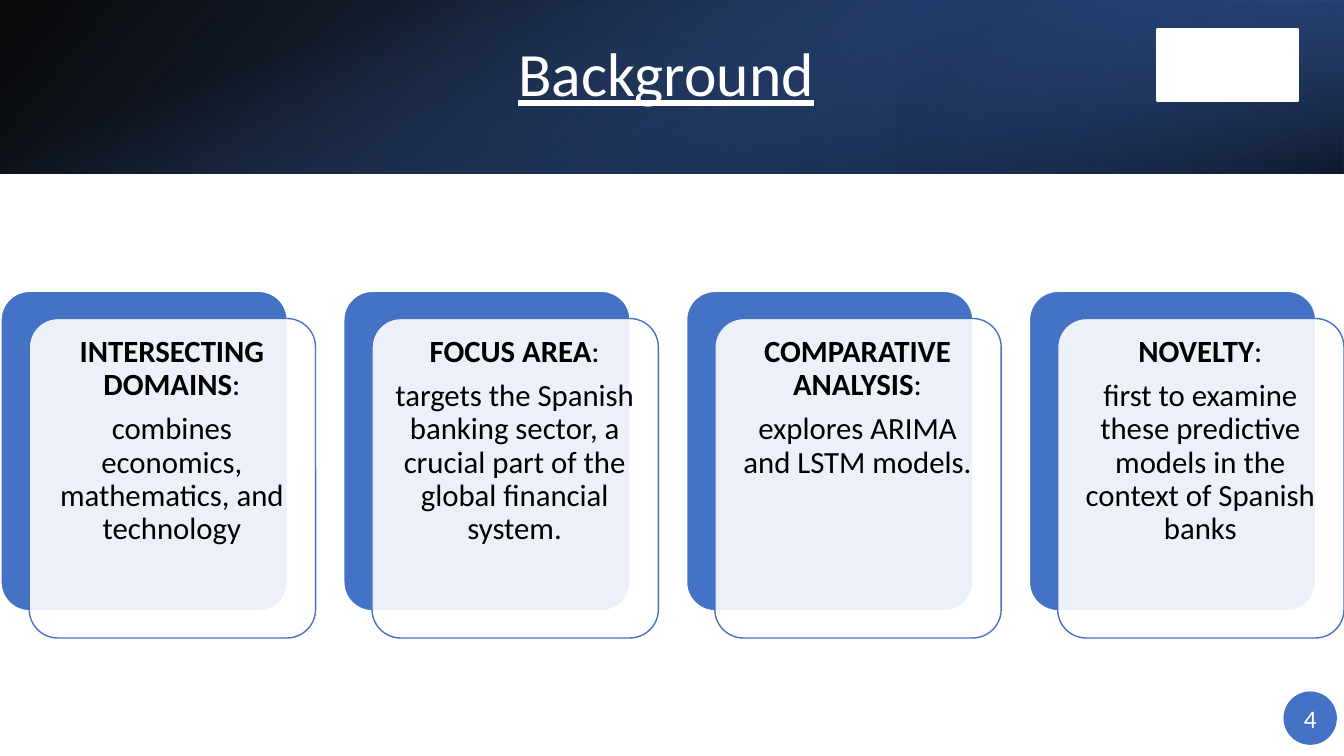
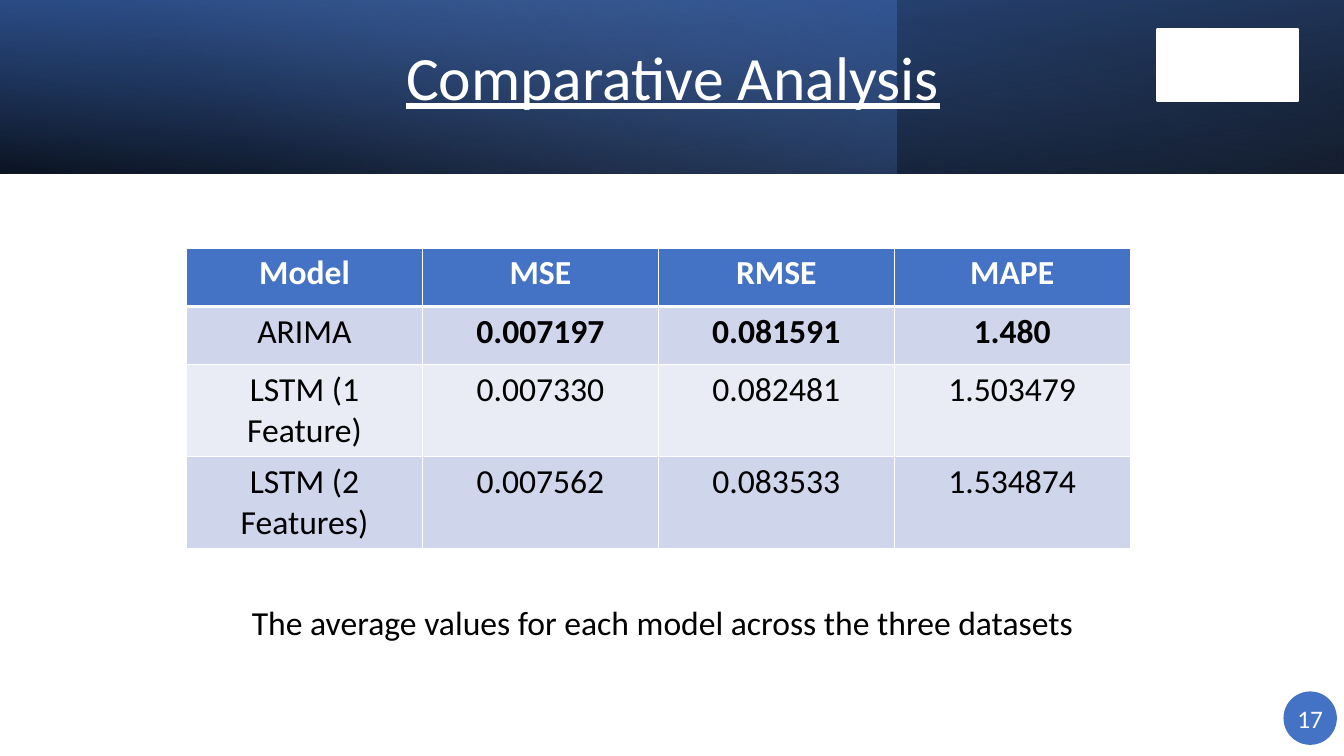
from lxml.etree import SubElement
from pptx import Presentation
from pptx.dml.color import RGBColor
from pptx.enum.shapes import MSO_SHAPE
from pptx.enum.text import MSO_ANCHOR, PP_ALIGN
from pptx.oxml.ns import qn
from pptx.util import Pt

PX = 9144
WIDTH, HEIGHT = 1333, 750
BAND_HEIGHT = 172
FONT = "Calibri"
BLUE, NAVY, DEEP, PALE = "4472C4", "2F5597", "203864", "8FAADC"
WHITE, BLACK = "FFFFFF", "000000"
ROW_TINTS = ("CFD5EA", "E9EBF5")

BACKGROUND_BAND = (
    dict(area=(0, 0, WIDTH, BAND_HEIGHT), flip=True, angle=140,
         stops=((0, BLACK, 96), (100, NAVY, 100))),
    dict(area=(889, 0, 444, BAND_HEIGHT), flip=True, rotation=180, angle=320,
         stops=((19, DEEP, 68), (100, BLUE, 79))),
    dict(area=(580, -580, BAND_HEIGHT, WIDTH), rotation=90, angle=340,
         stops=((23, BLUE, 0), (99, BLACK, 74))),
)
ANALYSIS_BAND = (
    dict(area=(0, 0, WIDTH, BAND_HEIGHT), flip=True, rotation=180, angle=100,
         stops=((0, BLACK, 96), (100, NAVY, 100))),
    dict(area=(0, 0, 889, BAND_HEIGHT), angle=140,
         stops=((0, BLUE, 41), (74, PALE, 0))),
    dict(area=(0, 0, WIDTH, BAND_HEIGHT), flip=True, angle=260,
         stops=((0, BLACK, 63), (78, BLUE, 15))),
)
CARDS = (
    ("INTERSECTING DOMAINS", "combines economics, mathematics, and technology"),
    ("FOCUS AREA", "targets the Spanish banking sector, a crucial part of the global financial system."),
    ("COMPARATIVE ANALYSIS", "explores ARIMA and LSTM models."),
    ("NOVELTY", "first to examine these predictive models in the context of Spanish banks"),
)
RESULTS = (
    ("Model", "MSE", "RMSE", "MAPE"),
    ("ARIMA", "0.007197", "0.081591", "1.480"),
    ("LSTM (1 Feature)", "0.007330", "0.082481", "1.503479"),
    ("LSTM (2 Features)", "0.007562", "0.083533", "1.534874"),
)


def emu(*lengths):
    return [length * PX for length in lengths]


def colour(value):
    return RGBColor.from_string(value)


def set_alpha(colour_element, percent):
    if percent < 100:
        SubElement(colour_element, qn("a:alpha")).set("val", str(percent * 1000))


def write(para, text, size=24, color=BLACK, bold=False, underline=False):
    span = para.add_run()
    span.text = text
    font = span.font
    font.name, font.size, font.bold, font.underline = FONT, Pt(size), bold, underline
    font.color.rgb = colour(color)


def add_box(slide, area, inset=(10, 5), anchor=MSO_ANCHOR.TOP):
    frame = slide.shapes.add_textbox(*emu(*area)).text_frame
    frame.word_wrap = True
    frame.vertical_anchor = anchor
    frame.margin_left = frame.margin_right = inset[0] * PX
    frame.margin_top = frame.margin_bottom = inset[1] * PX
    return frame


def add_shape(slide, kind, area, fill=None, line=None, line_width=1, alpha=100):
    shape = slide.shapes.add_shape(kind, *emu(*area))
    shape.shadow.inherit = False
    if fill:
        shape.fill.solid()
        shape.fill.fore_color.rgb = colour(fill)
        set_alpha(shape.element.spPr.find(".//" + qn("a:srgbClr")), alpha)
    if line:
        shape.line.color.rgb = colour(line)
        shape.line.width = Pt(line_width)
    else:
        shape.line.fill.background()
    return shape


def add_gradient(slide, area, stops, angle, rotation=0, flip=False):
    shape = add_shape(slide, MSO_SHAPE.RECTANGLE, area)
    shape.rotation = rotation
    if flip:
        shape.element.spPr.find(qn("a:xfrm")).set("flipH", "1")
    shape.fill.gradient()
    shape.fill.gradient_angle = 360 - angle
    for stop, (position, color, _) in zip(shape.fill.gradient_stops, stops):
        stop.position = position / 100
        stop.color.rgb = colour(color)
    for element, (_, _, alpha) in zip(shape.element.spPr.iter(qn("a:srgbClr")), stops):
        set_alpha(element, alpha)


def add_page(deck, title, title_area, band, number):
    slide = deck.slides.add_slide(deck.slide_layouts[6])
    for layer in band:
        add_gradient(slide, **layer)
    para = add_box(slide, title_area, anchor=MSO_ANCHOR.MIDDLE).paragraphs[0]
    para.line_spacing = 0.9
    para.space_after = Pt(6)
    write(para, title, size=44, color=WHITE, underline=True)
    add_shape(slide, MSO_SHAPE.RECTANGLE, (1148, 29, 139, 71), WHITE, WHITE, 1.5)
    badge = add_shape(slide, MSO_SHAPE.OVAL, (1273, 686, 53, 53), BLUE)
    frame = badge.text_frame
    frame.margin_left = frame.margin_right = 0
    frame.vertical_anchor = MSO_ANCHOR.MIDDLE
    frame.paragraphs[0].alignment = PP_ALIGN.CENTER
    write(frame.paragraphs[0], number, size=18, color=WHITE)
    return slide


def add_card(slide, left, heading, body):
    top, width, height = 289, 284, 317
    back = add_shape(slide, MSO_SHAPE.ROUNDED_RECTANGLE,
                     (left, top, width, height), BLUE, WHITE)
    front = add_shape(slide, MSO_SHAPE.ROUNDED_RECTANGLE,
                      (left + 28, top + 27, width, height), WHITE, BLUE, alpha=90)
    for shape in (back, front):
        shape.adjustments[0] = 0.1
    frame = add_box(slide, (left + 36, top + 35, 267, 301), inset=(12, 9))
    title, detail = frame.paragraphs[0], frame.add_paragraph()
    for para in (title, detail):
        para.alignment = PP_ALIGN.CENTER
        para.line_spacing = 0.9
        para.space_after = Pt(8)
    write(title, heading, size=22, bold=True)
    write(title, ":", size=22)
    write(detail, body, size=22)


def add_borders(cell, bottom):
    properties = cell._tc.get_or_add_tcPr()
    for side, width in (("L", 1), ("R", 1), ("T", 1), ("B", bottom)):
        line = SubElement(properties, qn("a:ln" + side), w=str(Pt(width)))
        fill = SubElement(line, qn("a:solidFill"))
        SubElement(fill, qn("a:srgbClr"), val=WHITE)


def add_results(slide, rows, left, top, column_width, row_heights):
    area = (left, top, column_width * len(rows[0]), sum(row_heights))
    table = slide.shapes.add_table(len(rows), len(rows[0]), *emu(*area)).table
    for column in table.columns:
        column.width = column_width * PX
    for row, height in enumerate(row_heights):
        table.rows[row].height = height * PX
        header = row == 0
        for column, text in enumerate(rows[row]):
            cell = table.cell(row, column)
            add_borders(cell, bottom=3 if header else 1)
            cell.fill.solid()
            cell.fill.fore_color.rgb = colour(BLUE if header else ROW_TINTS[(row - 1) % 2])
            para = cell.text_frame.paragraphs[0]
            para.alignment = PP_ALIGN.CENTER
            best = row == 1 and column > 0
            write(para, text, color=WHITE if header else BLACK, bold=header or best)


def main():
    deck = Presentation()
    deck.slide_width, deck.slide_height = emu(WIDTH, HEIGHT)

    background = add_page(deck, "Background", (504, 28, 326, 96), BACKGROUND_BAND, "4")
    for index, (heading, body) in enumerate(CARDS):
        add_card(background, 1 + 340 * index, heading, body)

    analysis = add_page(deck, "Comparative Analysis", (393, 16, 606, 127), ANALYSIS_BAND, "17")
    add_results(analysis, RESULTS, 185, 246, 234, (58, 58, 91, 91))
    caption = add_box(analysis, (240, 592, 854, 50))
    write(caption.paragraphs[0], "The average values for each model across the three datasets")

    deck.save("out.pptx")


if __name__ == "__main__":
    main()
